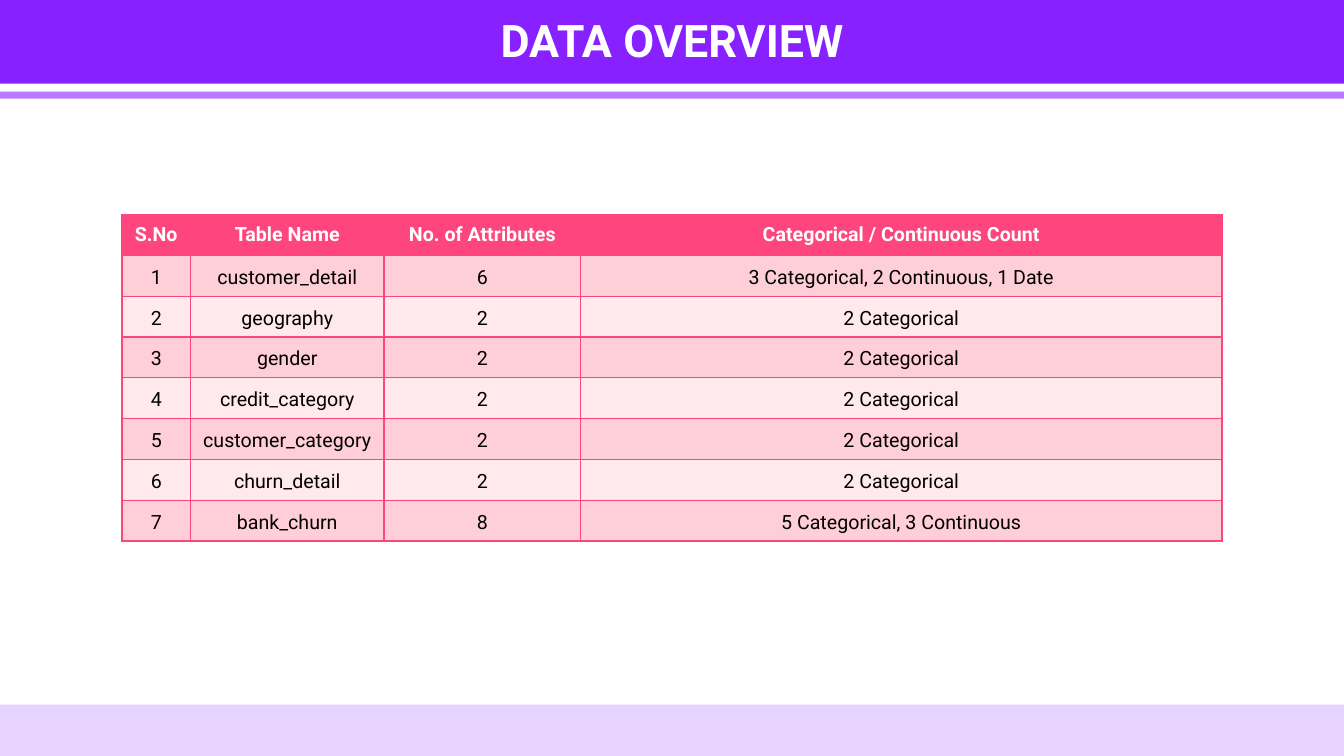
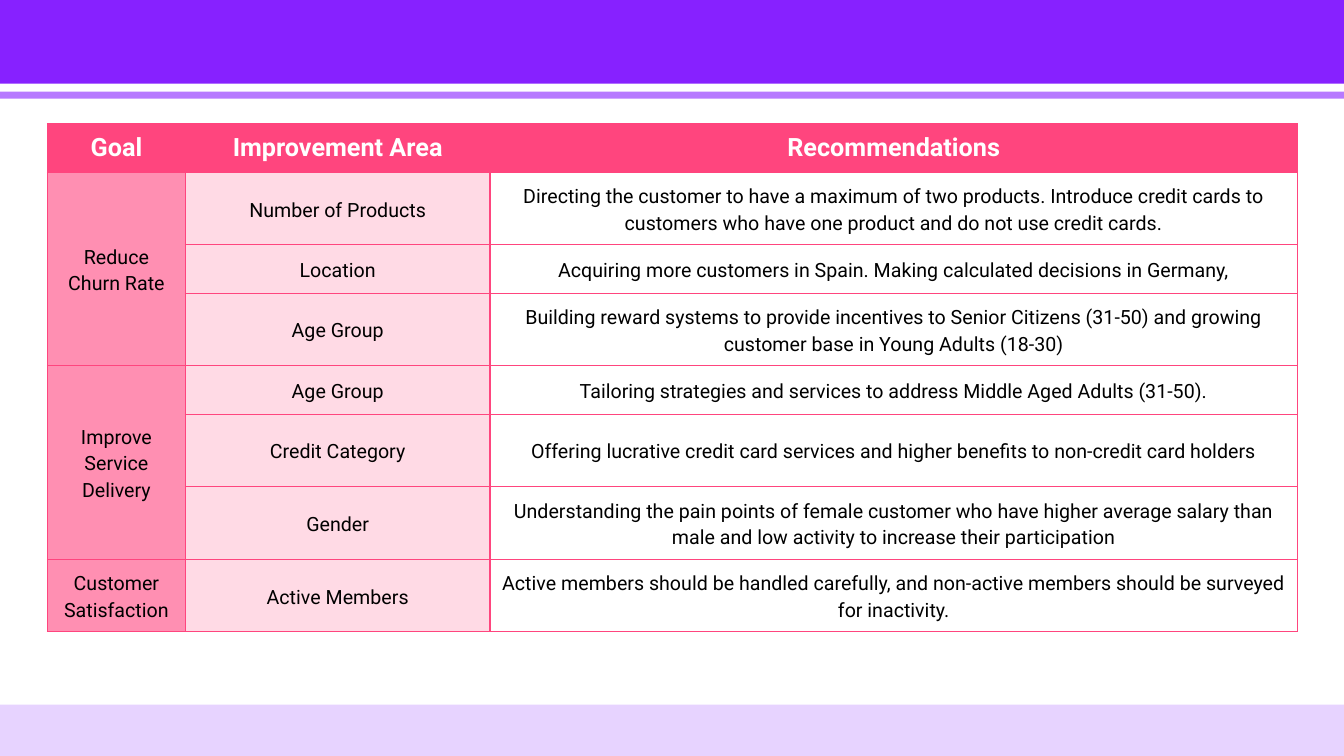
from dataclasses import dataclass

from lxml.etree import fromstring
from pptx import Presentation
from pptx.dml.color import RGBColor
from pptx.enum.shapes import MSO_SHAPE as Shape
from pptx.enum.text import MSO_ANCHOR as Anchor, MSO_AUTO_SIZE as Fit, PP_ALIGN as Align
from pptx.oxml.ns import nsdecls, qn
from pptx.util import Inches, Pt


@dataclass(frozen=True)
class Theme:
    face: str = "Roboto"
    white: str = "FFFFFF"
    ink: str = "000000"
    deep: str = "8721FF"
    mid: str = "B77AFF"
    pale: str = "E7D3FF"
    pink: str = "FF457E"
    rose: str = "FF8FB2"
    blush: str = "FFDAE5"
    bands: tuple = ("FFCFD8", "FFE9EC")
    title: int = 32
    head: int = 18
    body: int = 14
    line: int = 1


T = Theme()
WIDE, HIGH = 13.33, 7.5

# Data overview: number, table, attributes, counts
DATA_HEAD = ["S.No", "Table Name", "No. of Attributes", "Categorical / Continuous Count"]
DATA = [
    ("customer_detail", 6, "3 Categorical, 2 Continuous, 1 Date"),
    ("geography", 2, "2 Categorical"),
    ("gender", 2, "2 Categorical"),
    ("credit_category", 2, "2 Categorical"),
    ("customer_category", 2, "2 Categorical"),
    ("churn_detail", 2, "2 Categorical"),
    ("bank_churn", 8, "5 Categorical, 3 Continuous"),
]

# Recommendations: goal, then its areas with row weight and advice
PLAN_HEAD = ["Goal", "Improvement Area", "Recommendations"]
PLAN = [
    ("Reduce Churn Rate", [
        ("Number of Products", 3, "Directing the customer to have a maximum of two products. "
         "Introduce credit cards to customers who have one product and do not use credit cards."),
        ("Location", 2, "Acquiring more customers in Spain. "
         "Making calculated decisions in Germany,"),
        ("Age Group", 3, "Building reward systems to provide incentives to Senior Citizens "
         "(31-50) and growing customer base in Young Adults (18-30)"),
    ]),
    ("Improve Service Delivery", [
        ("Age Group", 2, "Tailoring strategies and services to address "
         "Middle Aged Adults (31-50)."),
        ("Credit Category", 3, "Offering lucrative credit card services and higher benefits "
         "to non-credit card holders"),
        ("Gender", 3, "Understanding the pain points of female customer who have higher "
         "average salary than male and low activity to increase their participation"),
    ]),
    ("Customer Satisfaction", [
        ("Active Members", 3, "Active members should be handled carefully, and non-active "
         "members should be surveyed for inactivity."),
    ]),
]


def paint(fill, color):
    fill.solid()
    fill.fore_color.rgb = RGBColor.from_string(color)


def style(para, size, color, bold=False):
    para.alignment = Align.CENTER
    font = para.font
    font.name, font.size, font.bold = T.face, Pt(size), bold
    font.color.rgb = RGBColor.from_string(color)


def frame(layout, slide):
    """Draw the shared bands and move them to the layout."""
    for holder in list(layout.placeholders):
        layout.shapes.element.remove(holder.element)
    bands = []
    for top, tall, color in [(0, 0.98, T.mid), (0, 0.91, T.white),
                             (0, 0.83, T.deep), (6.99, 0.51, T.pale)]:
        band = slide.shapes.add_shape(
            Shape.RECTANGLE, 0, Inches(top), Inches(WIDE), Inches(tall))
        band.shadow.inherit = False
        band.line.fill.background()
        paint(band.fill, color)
        bands.append(band)
    for band in bands:
        layout.shapes.element.append(band.element)


def title(slide, text):
    box = slide.shapes.add_textbox(
        Inches(WIDE / 4), Inches(0.08), Inches(WIDE / 2), Inches(0.64))
    body = box.text_frame
    body.word_wrap, body.auto_size = True, Fit.SHAPE_TO_FIT_TEXT
    body.text = text
    style(body.paragraphs[0], T.title, T.white, True)


def border(grid):
    """Rule every side of every cell."""
    for cell in grid.element.iter(qn("a:tc")):
        props = cell.get_or_add_tcPr()
        for spot, side in enumerate("LRTB"):
            props.insert(spot, fromstring(
                f'<a:ln{side} {nsdecls("a")} w="{Pt(T.line)}"><a:solidFill>'
                f'<a:srgbClr val="{T.pink}"/></a:solidFill></a:ln{side}>'))


def table(slide, box, cols, rows, head, lines, tint, size, inset=None):
    """Fill a box with a table; cols and rows are weights, None joins the cell above."""
    left, top, wide, tall = box
    grid = slide.shapes.add_table(len(rows), len(cols), *map(Inches, box))
    tab = grid.table
    for col, part in zip(tab.columns, cols):
        col.width = Inches(wide * part / sum(cols))
    for row, part in zip(tab.rows, rows):
        row.height = Inches(tall * part / sum(rows))

    for r, line in enumerate([head, *lines]):
        for c, text in enumerate(line):
            cell = tab.cell(r, c)
            cell.vertical_anchor = Anchor.MIDDLE
            paint(cell.fill, tint(r, c) if r else T.pink)
            if r and inset is not None:
                cell.margin_left = cell.margin_right = Inches(inset)
                cell.margin_top = cell.margin_bottom = Inches(inset)
            if text is None:
                continue
            cell.text = str(text)
            para = cell.text_frame.paragraphs[0]
            if r:
                para.line_spacing, para.space_after = 1.15, Pt(8)
                style(para, T.body, T.ink)
            else:
                style(para, size, T.white, True)
    border(grid)
    return tab


def data(slide):
    title(slide, "DATA OVERVIEW")
    lines = [(n, *row) for n, row in enumerate(DATA, 1)]
    table(slide, (1.21, 2.13, 10.91, 3.24), (0.68, 1.92, 1.95, 6.36),
          [1] * (len(lines) + 1), DATA_HEAD, lines,
          lambda r, c: T.bands[(r - 1) % 2], T.body, 0.01)


def plan(slide):
    lines, rows = [], [2]
    for goal, areas in PLAN:
        for n, (area, part, advice) in enumerate(areas):
            lines.append((None if n else goal, area, advice))
            rows.append(part)
    tints = T.rose, T.blush, T.white
    tab = table(slide, (0.47, 1.23, 12.4, 5.04), (1.37, 3.02, 8.01), rows,
                PLAN_HEAD, lines, lambda r, c: tints[c], T.head)
    # Join each goal over its areas
    row = 1
    for _, areas in PLAN:
        end = row + len(areas)
        if len(areas) > 1:
            tab.cell(row, 0).merge(tab.cell(end - 1, 0))
        row = end


def main():
    deck = Presentation()
    deck.slide_width, deck.slide_height = Inches(WIDE), Inches(HIGH)
    blank = deck.slide_layouts[6]
    for n, build in enumerate((data, plan)):
        slide = deck.slides.add_slide(blank)
        if n == 0:
            frame(blank, slide)
        build(slide)
    deck.save("out.pptx")


if __name__ == "__main__":
    main()
